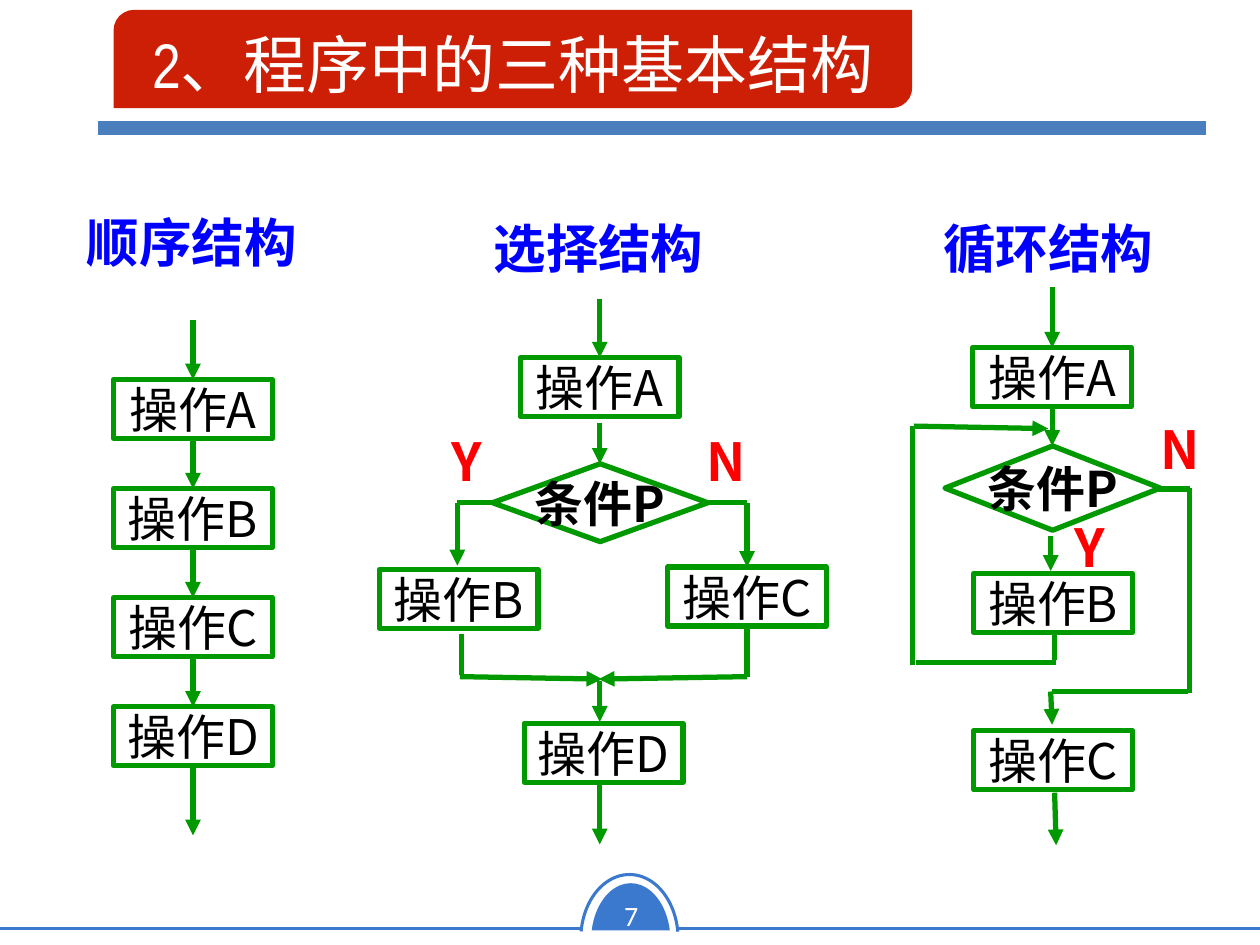
from typing import NamedTuple

from lxml import etree
from pptx import Presentation
from pptx.dml.color import RGBColor
from pptx.enum.shapes import MSO_CONNECTOR, MSO_SHAPE
from pptx.enum.text import MSO_ANCHOR, PP_ALIGN
from pptx.oxml.ns import qn
from pptx.util import Cm, Pt

RECT = MSO_SHAPE.RECTANGLE
DIAMOND = MSO_SHAPE.FLOWCHART_DECISION
CHORD = MSO_SHAPE.CHORD
ARC = MSO_SHAPE.ARC
BANNER = MSO_SHAPE.ROUND_2_DIAG_RECTANGLE
STRAIGHT = MSO_CONNECTOR.STRAIGHT
LEFT, CENTER = PP_ALIGN.LEFT, PP_ALIGN.CENTER
TOP, MIDDLE = MSO_ANCHOR.TOP, MSO_ANCHOR.MIDDLE

SANS_SC, SANS_JP = "Noto Sans CJK SC", "Noto Sans CJK JP"
GREEN, BLUE, RED = "009900", "3B79CE", "FF0000"
BOX_W, BOX_H = 3.2, 1.19


class Node(NamedTuple):
    text: str
    x: float
    y: float
    w: float = BOX_W
    h: float = BOX_H
    kind: int = RECT


class Edge(NamedTuple):
    x1: float
    y1: float
    x2: float
    y2: float
    arrow: bool = True


class Label(NamedTuple):
    text: str
    x: float
    y: float
    w: float = 1.5


def paint(color: str) -> RGBColor:
    return RGBColor.from_string(color)


def write(shape, text: str, *, size: float, font: str, color: str = "000000",
          bold: bool = False, align=LEFT, anchor=TOP, wrap: bool = True,
          inset: bool = True) -> None:
    frame = shape.text_frame
    frame.word_wrap = wrap
    frame.vertical_anchor = anchor
    if not inset:
        frame.margin_left = frame.margin_right = Cm(0)
        frame.margin_top = frame.margin_bottom = Cm(0)
    para = frame.paragraphs[0]
    para.alignment = align
    run = para.add_run()
    run.text = text
    run.font.size = Pt(size)
    run.font.bold = bold
    run.font.color.rgb = paint(color)
    run.font.name = font
    etree.SubElement(run.font._element, qn("a:ea"), typeface=font)


def add_text(slide, x: float, y: float, w: float, h: float, text: str, **style) -> None:
    write(slide.shapes.add_textbox(Cm(x), Cm(y), Cm(w), Cm(h)), text, **style)


def add_form(slide, kind, x: float, y: float, w: float, h: float, *,
             fill: str = "", line: str = "", width: float = 3, adjust=()):
    form = slide.shapes.add_shape(kind, Cm(x), Cm(y), Cm(w), Cm(h))
    form.shadow.inherit = False
    for i, value in enumerate(adjust):
        form.adjustments[i] = value
    if fill:
        form.fill.solid()
        form.fill.fore_color.rgb = paint(fill)
    else:
        form.fill.background()
    if line:
        form.line.color.rgb = paint(line)
        form.line.width = Pt(width)
    else:
        form.line.fill.background()
    return form


def add_edge(slide, edge: Edge, color: str = GREEN, width: float = 3) -> None:
    link = slide.shapes.add_connector(
        STRAIGHT, Cm(edge.x1), Cm(edge.y1), Cm(edge.x2), Cm(edge.y2))
    link.line.color.rgb = paint(color)
    link.line.width = Pt(width)
    if edge.arrow:
        etree.SubElement(link.line._get_or_add_ln(), qn("a:tailEnd"), type="triangle")
    etree.SubElement(link._element.spPr, qn("a:effectLst"))


def add_node(slide, node: Node) -> None:
    form = add_form(slide, node.kind, node.x, node.y, node.w, node.h, line=GREEN)
    write(form, node.text, size=28, font=SANS_JP, bold=node.kind == DIAMOND,
          align=CENTER, anchor=MIDDLE, wrap=False)


# Sequence: four equal steps
STEP, START, AXIS = 2.2, 7.65, 3.89
SEQ_NODES = [Node(f"操作{c}", 2.29, START + STEP * i) for i, c in enumerate("ABCD")]
SEQ_EDGES = [Edge(AXIS, 6.45, AXIS, START)]
SEQ_EDGES += [Edge(AXIS, n.y + BOX_H, AXIS, n.y + STEP) for n in SEQ_NODES[:-1]]
SEQ_EDGES += [Edge(AXIS, SEQ_NODES[-1].y + BOX_H, AXIS, 16.84)]

# Selection: two branches that meet again
PICK_NODES = [
    Node("操作A", 10.49, 7.21),
    Node("条件P", 9.93, 9.35, 4.34, 1.57, DIAMOND),
    Node("操作B", 7.65, 11.48),
    Node("操作C", 13.46, 11.43),
    Node("操作D", 10.57, 14.58),
]
PICK_EDGES = [
    Edge(12.09, 6.02, 12.09, 7.21),
    Edge(12.09, 8.53, 12.09, 9.35),
    Edge(9.91, 10.13, 9.22, 10.13, False),
    Edge(14.27, 10.13, 15.06, 10.13, False),
    Edge(9.22, 10.13, 9.22, 11.4),
    Edge(15.06, 10.13, 15.06, 11.43),
    Edge(9.3, 12.78, 9.3, 13.61, False),
    Edge(9.27, 13.64, 12.14, 13.69),
    Edge(15.06, 12.67, 15.06, 13.64, False),
    Edge(15.06, 13.64, 12.07, 13.69),
    Edge(12.09, 13.72, 12.09, 14.55),
    Edge(12.09, 15.8, 12.09, 17.02),
]

# Loop: back on the left, exit on the right
LOOP_NODES = [
    Node("操作A", 19.61, 7.01),
    Node("条件P", 19.05, 8.99, 4.34, 1.7, DIAMOND),
    Node("操作B", 19.63, 11.56),
    Node("操作C", 19.63, 14.73),
]
LOOP_EDGES = [
    Edge(21.21, 5.79, 21.21, 7.01),
    Edge(21.21, 8.2, 21.21, 8.99),
    Edge(21.18, 10.8, 21.18, 11.51),
    Edge(21.26, 12.8, 21.26, 13.31, False),
    Edge(18.47, 13.36, 21.29, 13.36, False),
    Edge(18.39, 13.41, 18.39, 8.59, False),
    Edge(18.42, 8.59, 21.13, 8.64),
    Edge(23.34, 9.86, 23.98, 9.86, False),
    Edge(23.98, 9.83, 23.98, 13.97, False),
    Edge(23.95, 13.94, 21.21, 13.94, False),
    Edge(21.18, 13.94, 21.21, 14.61),
    Edge(21.26, 15.98, 21.29, 17.04),
]

HEADS = [Label("顺序结构", 1.5, 4.11, 5.64), Label("选择结构", 9.7, 4.24, 5),
         Label("循环结构", 18.77, 4.24, 5)]
MARKS = [Label("Y", 8.86, 8.53), Label("N", 14, 8.53),
         Label("Y", 21.41, 10.26), Label("N", 23.14, 8.28)]


def main() -> None:
    deck = Presentation()
    deck.slide_width, deck.slide_height = Cm(25.4), Cm(19.05)
    slide = deck.slides.add_slide(deck.slide_layouts[6])

    # Footer with page number
    badge = add_form(slide, CHORD, 11.56, 18.16, 2.31, 1.6, fill=BLUE,
                     adjust=(62.753, 153.29))
    badge.rotation = 90
    for x1, x2 in ((13.67, 25.4), (0, 11.73)):
        add_edge(slide, Edge(x1, 18.72, x2, 18.72, False), BLUE, 1.77)
    add_form(slide, ARC, 11.71, 17.63, 1.96, 2.59, line=BLUE, width=1.77,
             adjust=(113.17, 210.975))
    add_text(slide, 12.14, 17.98, 1.17, 0.94, "7", size=16, font="Calibri",
             color="FFFFFF", align=CENTER, wrap=False)

    # Title
    add_edge(slide, Edge(1.98, 2.59, 24.31, 2.59, False), "4B7EBC", 8)
    add_form(slide, BANNER, 2.29, 0.2, 16.1, 1.98, fill="CD1F06", adjust=(0.209, 0))
    add_text(slide, 3.07, 0.51, 15.01, 1.55, "2、程序中的三种基本结构", size=36,
             font="Arial Narrow", color="FFFFFF", anchor=MIDDLE, inset=False)

    # Flow charts
    for node in SEQ_NODES + PICK_NODES + LOOP_NODES:
        add_node(slide, node)
    for edge in SEQ_EDGES + PICK_EDGES + LOOP_EDGES:
        add_edge(slide, edge)

    # Headings and branch marks
    for labels, h, font, color in ((HEADS, 1.88, SANS_SC, "0000FF"),
                                   (MARKS, 1.52, SANS_JP, RED)):
        for item in labels:
            add_text(slide, item.x, item.y, item.w, h, item.text, size=30,
                     font=font, color=color, bold=True)

    deck.save("out.pptx")


if __name__ == "__main__":
    main()
